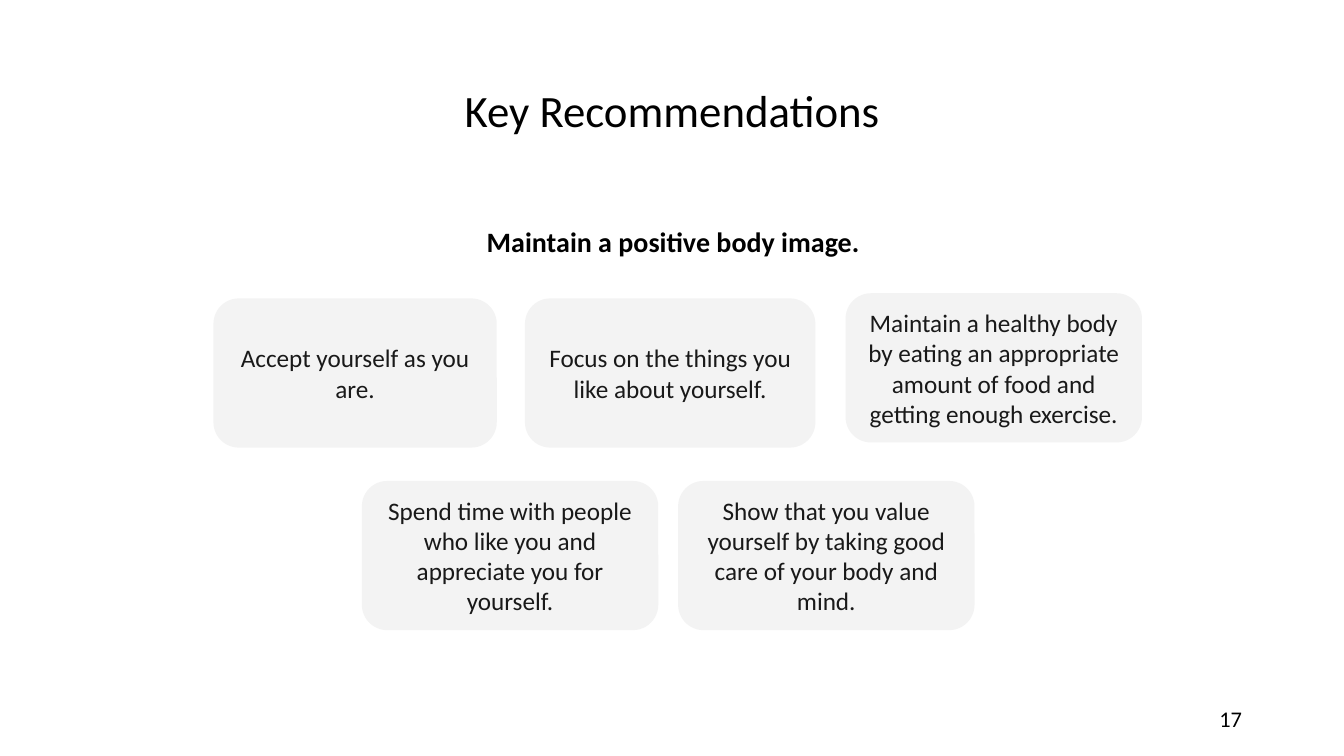
"""Build a slide of key recommendations for a positive body image."""
from pptx import Presentation
from pptx.dml.color import RGBColor
from pptx.enum.shapes import MSO_SHAPE
from pptx.enum.text import MSO_ANCHOR, PP_ALIGN
from pptx.util import Cm, Pt

BLACK = RGBColor(0x00, 0x00, 0x00)
CHARCOAL = RGBColor(0x19, 0x19, 0x19)
LIGHT_GREY = RGBColor(0xF3, 0xF3, 0xF3)
FONT = "Calibri"
CARD_HEIGHT = 3.76

TOP_CARDS = [
    (0, 0.13, 7.14, "Accept yourself as you are."),
    (7.85, 0.13, 7.32, "Focus on the things you like about yourself."),
    (15.93, 0, 7.47, "Maintain a healthy body by eating an appropriate "
                     "amount of food and getting enough exercise."),
]
BOTTOM_CARDS = [
    (0, 0, 7.47, "Spend time with people who like you and appreciate you for yourself."),
    (7.97, 0, 7.47, "Show that you value yourself by taking good care of your body and mind."),
]


def write_text(shape, text, size, color, alignment=PP_ALIGN.CENTER,
               anchor=MSO_ANCHOR.MIDDLE, bold=False):
    """Fill a shape with one wrapped paragraph and return that paragraph."""
    frame = shape.text_frame
    frame.word_wrap = True
    frame.vertical_anchor = anchor
    paragraph = frame.paragraphs[0]
    paragraph.text = text
    paragraph.alignment = alignment
    paragraph.font.name = FONT
    paragraph.font.size = Pt(size)
    paragraph.font.bold = bold
    paragraph.font.color.rgb = color
    return paragraph


def add_text(slide, box, text, size, **style):
    """Add a black text box filling the box (left, top, width, height in cm)."""
    shape = slide.shapes.add_textbox(*map(Cm, box))
    return write_text(shape, text, size, BLACK, **style)


def add_title(slide, box):
    """Add the slide title, centred in its box."""
    add_text(slide, box, "Key Recommendations", 32).line_spacing = 0.9


def add_card_row(slide, left, top, cards):
    """Add a row of rounded cards offset from the row's top left corner."""
    for offset_x, offset_y, width, text in cards:
        card = slide.shapes.add_shape(
            MSO_SHAPE.ROUNDED_RECTANGLE, Cm(left + offset_x), Cm(top + offset_y),
            Cm(width), Cm(CARD_HEIGHT))
        card.adjustments[0] = 0.17
        card.shadow.inherit = False
        card.fill.solid()
        card.fill.fore_color.rgb = LIGHT_GREY
        card.line.fill.background()
        write_text(card, text, 18, CHARCOAL)


def add_recommendations(slide, box):
    """Add the bold heading and both rows of cards inside the box."""
    left, top = box[:2]
    add_text(slide, box, "Maintain a positive body image.", 20,
             anchor=MSO_ANCHOR.TOP, bold=True)
    add_card_row(slide, left + 2.18, top + 1.85, TOP_CARDS)
    add_card_row(slide, left + 5.92, top + 6.58, BOTTOM_CARDS)


def add_slide_number(slide, box):
    """Add the slide number at the right of its box."""
    add_text(slide, box, "17", 16, alignment=PP_ALIGN.RIGHT, anchor=MSO_ANCHOR.TOP)


def main():
    """Create the presentation and save it."""
    presentation = Presentation()
    presentation.slide_width = Cm(33.87)
    presentation.slide_height = Cm(19.05)
    slide = presentation.slides.add_slide(presentation.slide_layouts[6])
    add_title(slide, (5.41, 1.02, 23.06, 3.68))
    add_recommendations(slide, (3.2, 5.54, 27.53, 11.46))
    add_slide_number(slide, (23.93, 17.65, 7.62, 1.02))
    presentation.save("out.pptx")


if __name__ == "__main__":
    main()
